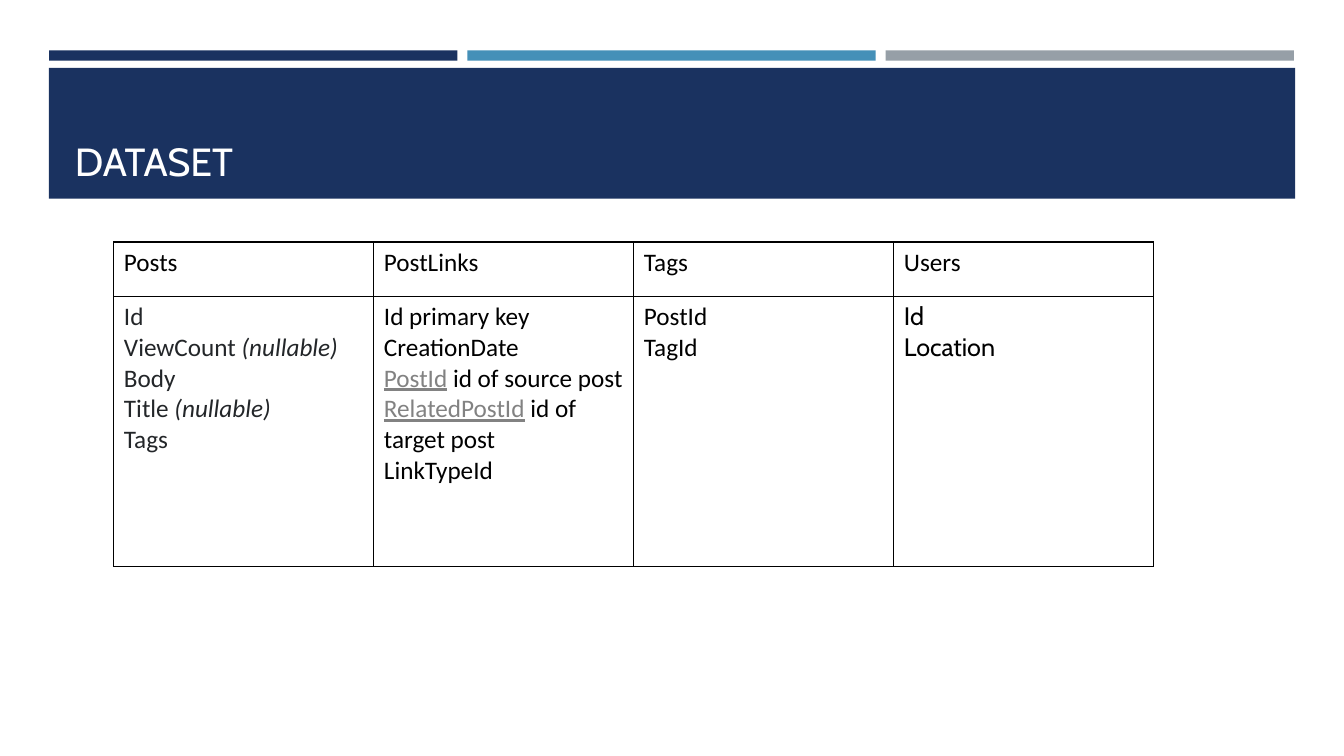
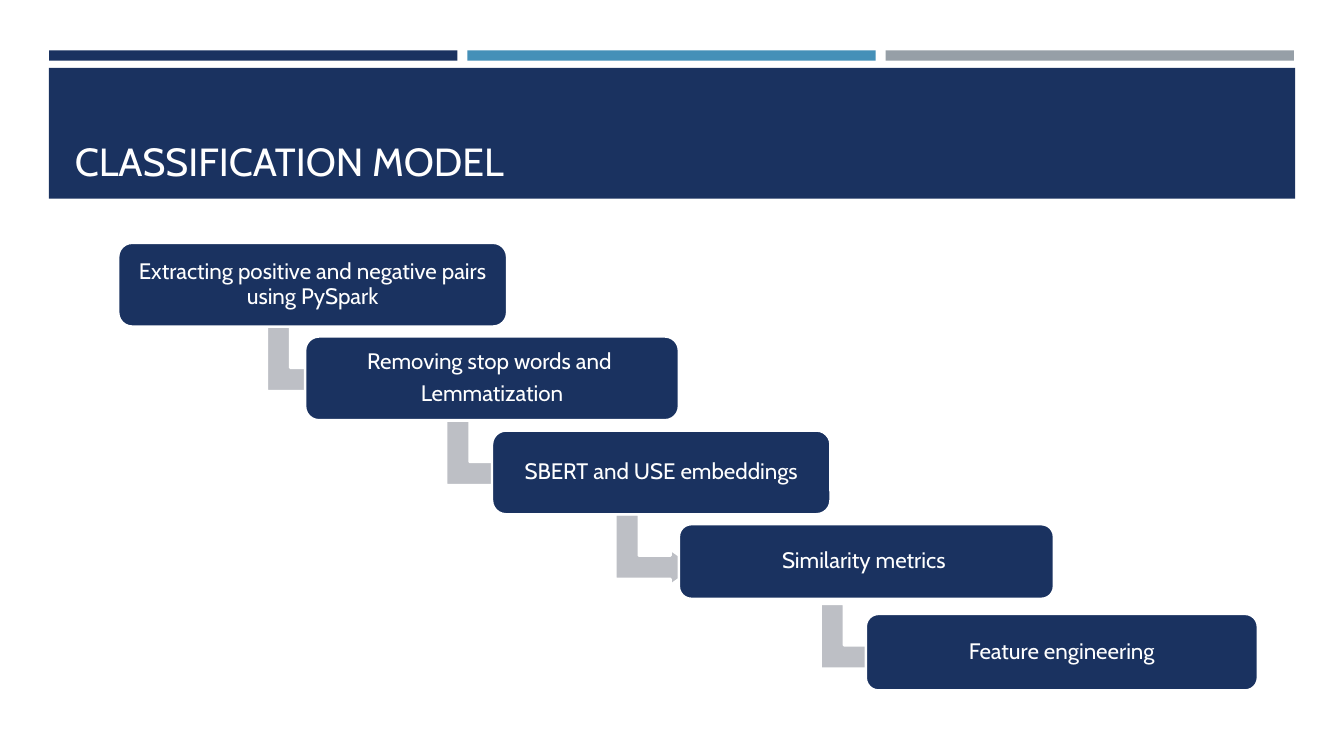
import pptx
import pptx.util
import pptx.dml.color
import pptx.enum.shapes
import pptx.enum.text
import pptx.oxml
import pptx.oxml.ns
from dataclasses import dataclass

Cm, Pt = pptx.util.Cm, pptx.util.Pt
SHAPE = pptx.enum.shapes.MSO_SHAPE
ANCHOR = pptx.enum.text.MSO_ANCHOR
ALIGN = pptx.enum.text.PP_ALIGN


@dataclass(frozen=True)
class Theme:
    navy: str = "1A3260"
    blue: str = "4590B8"
    grey: str = "969FA7"
    arrow: str = "BDBFC5"
    white: str = "FFFFFF"
    black: str = "000000"
    ink: str = "232629"
    link: str = "828282"
    display_font: str = "Cabin"
    table_font: str = "Calibri"
    title_size: int = 28
    table_size: int = 18
    step_size: int = 16
    outline: float = 1.75


@dataclass(frozen=True)
class Box:
    left: float
    top: float
    width: float
    height: float

    def place(self):
        return [Cm(v) for v in (self.left, self.top, self.width, self.height)]


THEME = Theme()


def apply(target, values):
    for name, value in values.items():
        setattr(target, name, value)


def rgb(color):
    return pptx.dml.color.RGBColor.from_string(color)


def style_font(font, face, size, color, **extras):
    apply(font, {"name": face, "size": Pt(size), **extras})
    font.color.rgb = rgb(color)


def paint(shape, color, outline=None):
    shape.shadow.inherit = False
    shape.fill.solid()
    shape.fill.fore_color.rgb = rgb(color)
    if outline:
        shape.line.color.rgb = rgb(outline)
        shape.line.width = Pt(THEME.outline)
    else:
        shape.line.fill.background()


def add_filled(slide, preset, box, color, outline=None):
    shape = slide.shapes.add_shape(preset, *box.place())
    paint(shape, color, outline)
    return shape


def add_header_to_layout(slide, stripes, band):
    gap = 0.25
    colors = (THEME.navy, THEME.blue, THEME.grey)
    width = (stripes.width - gap * (len(colors) - 1)) / len(colors)
    parts = [add_filled(slide, SHAPE.RECTANGLE, band, THEME.navy)]
    for i, color in enumerate(colors):
        stripe = Box(stripes.left + i * (width + gap), stripes.top, width, stripes.height)
        parts.append(add_filled(slide, SHAPE.RECTANGLE, stripe, color))
    for part in parts:
        slide.slide_layout.shapes.element.insert(2, part.element)


def set_title(slide, wording, box):
    title = slide.shapes.title
    apply(title, dict(zip(("left", "top", "width", "height"), box.place())))
    title.text = wording
    apply(title.text_frame, {
        "vertical_anchor": ANCHOR.BOTTOM,
        "word_wrap": True,
        "auto_size": pptx.enum.text.MSO_AUTO_SIZE.NONE,
    })
    heading = title.text_frame.paragraphs[0]
    heading.alignment = ALIGN.LEFT
    style_font(heading.runs[0].font, THEME.display_font, THEME.title_size, THEME.white)


def add_cell_borders(cell):
    properties = cell._tc.get_or_add_tcPr()
    for side in ("lnL", "lnR", "lnT", "lnB"):
        properties.append(pptx.oxml.parse_xml(
            f'<a:{side} {pptx.oxml.ns.nsdecls("a")} w="12700"><a:solidFill>'
            f'<a:srgbClr val="{THEME.black}"/></a:solidFill></a:{side}>'))


def fill_cell(cell, lines, face, color):
    add_cell_borders(cell)
    cell.fill.solid()
    cell.fill.fore_color.rgb = rgb(THEME.white)
    frame = cell.text_frame
    for i, line in enumerate(lines):
        paragraph = frame.add_paragraph() if i else frame.paragraphs[0]
        for wording, kind in line:
            run = paragraph.add_run()
            run.text = wording
            style_font(run.font, face, THEME.table_size,
                       THEME.link if kind == "link" else color,
                       italic=kind == "italic", underline=kind == "link")


def add_dataset_table(slide, box, columns):
    header_height = 1.37
    table = slide.shapes.add_table(2, len(columns), *box.place()).table
    apply(table, {"first_row": False, "horz_banding": False})
    table.rows[0].height = Cm(header_height)
    table.rows[1].height = Cm(box.height - header_height)
    for i, (entity, face, color, fields) in enumerate(columns):
        table.columns[i].width = Cm(box.width / len(columns))
        fill_cell(table.cell(0, i), [[(entity, "")]], THEME.table_font, THEME.black)
        fill_cell(table.cell(1, i), fields, face, color)


def add_step(slide, box, lines):
    step = add_filled(slide, SHAPE.ROUNDED_RECTANGLE, box, THEME.navy, THEME.white)
    step.adjustments[0] = 0.167
    frame = step.text_frame
    inset = Cm(0.28)
    apply(frame, {
        "word_wrap": True, "vertical_anchor": ANCHOR.MIDDLE,
        "margin_left": inset, "margin_right": inset,
        "margin_top": inset, "margin_bottom": inset,
    })
    for i, line in enumerate(lines):
        paragraph = frame.add_paragraph() if i else frame.paragraphs[0]
        apply(paragraph, {"alignment": ALIGN.CENTER, "line_spacing": 0.9,
                          "space_after": Pt(0.35 * THEME.step_size)})
        run = paragraph.add_run()
        run.text = line
        style_font(run.font, THEME.display_font, THEME.step_size, THEME.white)


def add_bent_arrow(slide, source, target):
    width, height = 1.78, 2.03
    center_x = source.left + source.width / 2 - 0.14
    center_y = target.top + 0.64
    box = Box(center_x - width / 2, center_y - height / 2, width, height)
    arrow = add_filled(slide, SHAPE.BENT_UP_ARROW, box, THEME.arrow, THEME.white)
    arrow.rotation = 90
    for i, value in enumerate((0.33, 0.25, 0.36)):
        arrow.adjustments[i] = value


def add_staircase(slide, box, steps):
    shift = (box.width - steps[-1][1]) / (len(steps) - 1)
    places = [Box(box.left + i * shift, box.top + drop, width, height)
              for i, (drop, width, height, lines) in enumerate(steps)]
    for i, place in enumerate(places):
        if i + 1 < len(places):
            add_bent_arrow(slide, place, places[i + 1])
        add_step(slide, place, steps[i][3])


TITLE_BOX = Box(1.63, 1.96, 30.63, 2.82)

POST_FIELDS = [
    [("Id", "")],
    [("ViewCount\u00a0", ""), ("(nullable)", "italic")],
    [("Body\u00a0", "")],
    [("Title\u00a0", ""), ("(nullable)", "italic")],
    [("Tags", "")],
]
LINK_FIELDS = [
    [("Id\u00a0primary key", "")],
    [("CreationDate", "")],
    [("PostId", "link"), ("\u00a0id of source post", "")],
    [("RelatedPostId", "link"), ("\u00a0id of target post", "")],
    [("LinkTypeId", "")],
]
DATASET = [
    ("Posts", THEME.table_font, THEME.ink, POST_FIELDS),
    ("PostLinks", THEME.table_font, THEME.black, LINK_FIELDS),
    ("Tags", THEME.table_font, THEME.black, [[("PostId", "")], [("TagId", "")]]),
    ("Users", THEME.display_font, THEME.black, [[("Id", "")], [("Location", "")]]),
]
PIPELINE = [
    (0, 9.8, 2.11, ["Extracting positive and negative pairs using PySpark"]),
    (2.36, 9.42, 2.11, ["Removing stop words and ", "Lemmatization"]),
    (4.73, 8.53, 2.11, ["SBERT and USE embeddings"]),
    (7.09, 9.45, 1.88, ["Similarity metrics "]),
    (9.35, 9.88, 1.93, ["Feature engineering"]),
]

deck = pptx.Presentation()
apply(deck, {"slide_width": Cm(33.87), "slide_height": Cm(19.05)})
title_only = deck.slide_layouts[5]

dataset = deck.slides.add_slide(title_only)
add_header_to_layout(dataset, Box(1.24, 1.27, 31.37, 0.26), Box(1.23, 1.71, 31.41, 3.3))
set_title(dataset, "DATASET", TITLE_BOX)
add_dataset_table(dataset, Box(2.87, 6.1, 26.21, 8.18), DATASET)

model = deck.slides.add_slide(title_only)
set_title(model, "CLASSIFICATION MODEL", TITLE_BOX)
add_staircase(model, Box(2.98, 6.12, 28.72, 11.28), PIPELINE)

deck.save("out.pptx")
